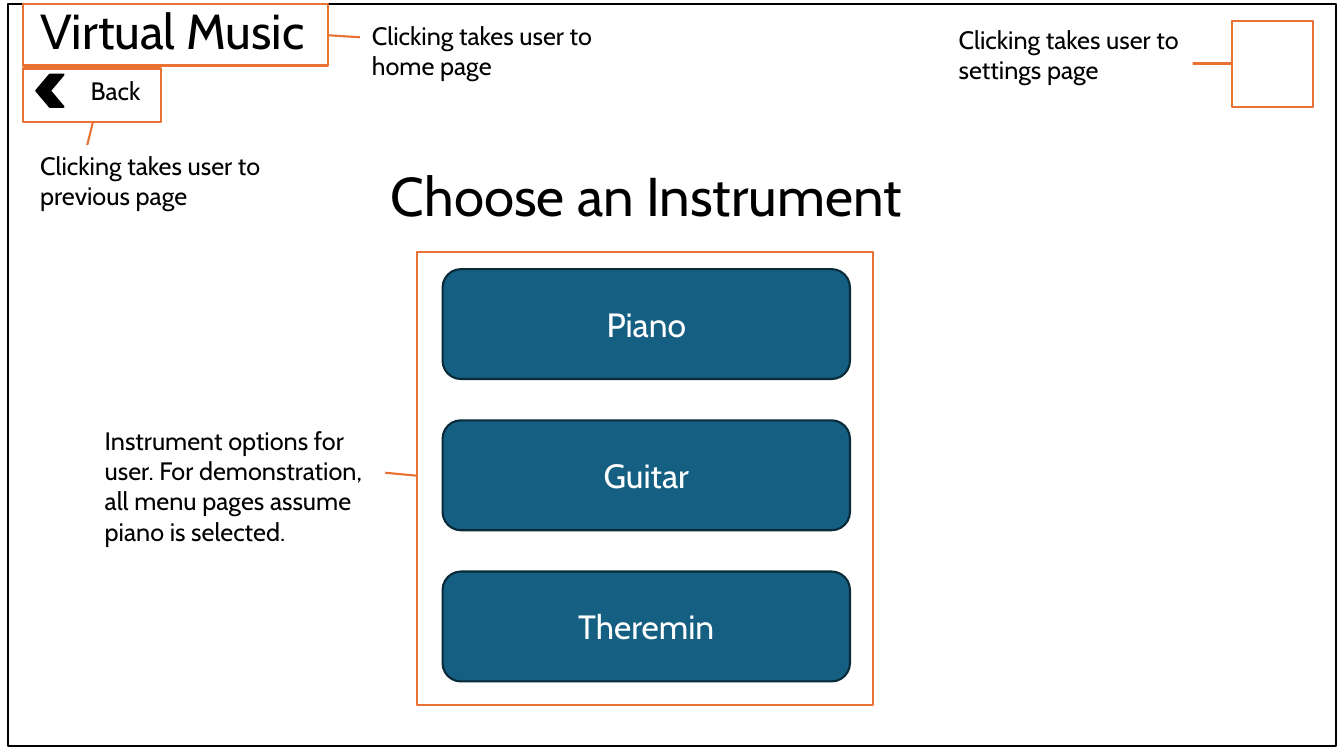
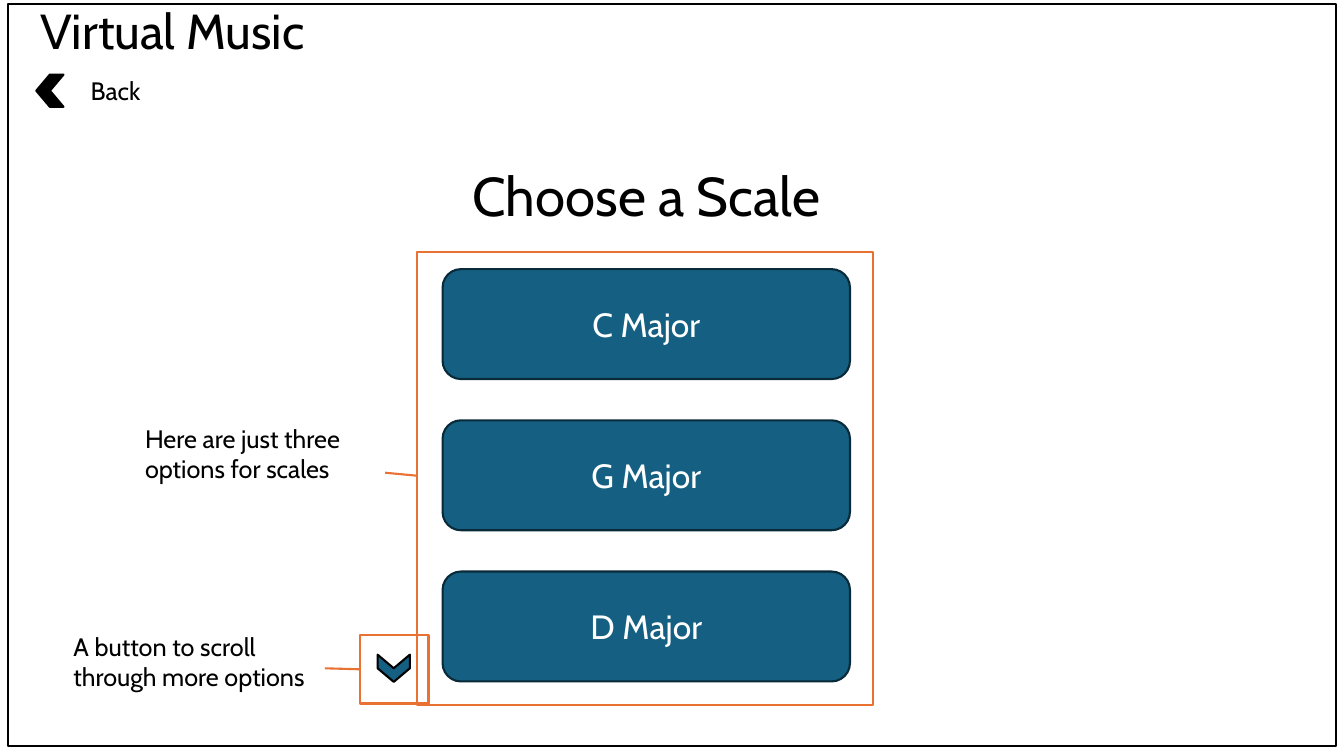
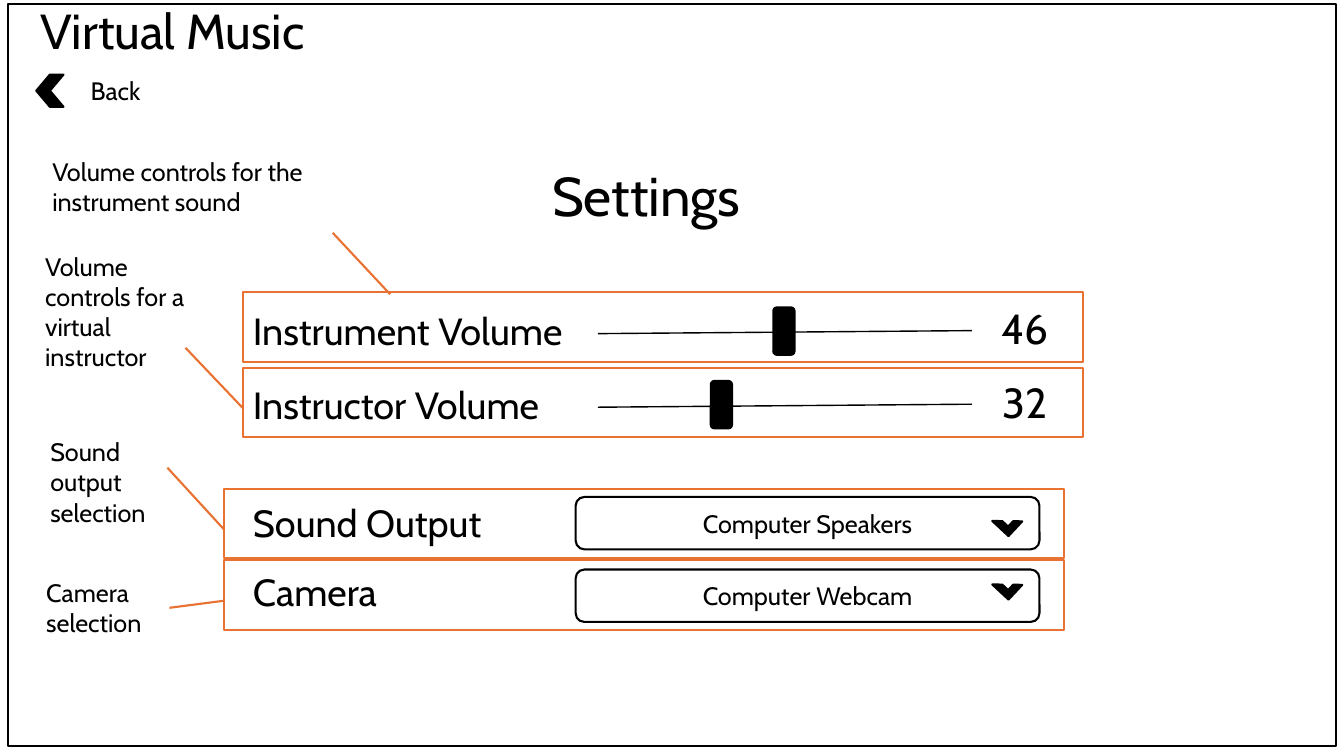
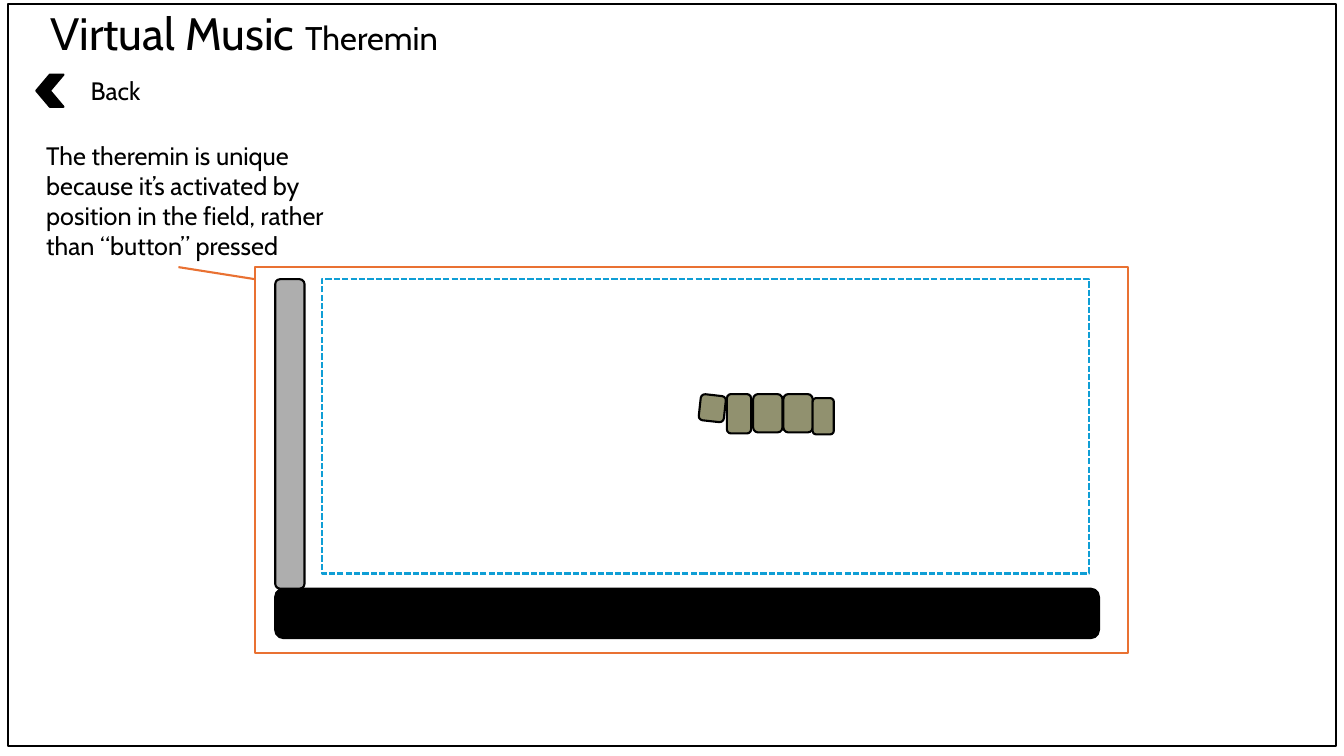
"""Builds four annotated wireframes of a virtual music application."""
from lxml import etree
from pptx import Presentation
from pptx.dml.color import RGBColor
from pptx.enum.dml import MSO_LINE
from pptx.enum.shapes import MSO_CONNECTOR, MSO_SHAPE
from pptx.enum.text import MSO_ANCHOR, MSO_AUTO_SIZE, PP_ALIGN
from pptx.oxml.ns import qn
from pptx.util import Inches, Pt

RECT, ROUND = MSO_SHAPE.RECTANGLE, MSO_SHAPE.ROUNDED_RECTANGLE
CHEVRON, HALF_FRAME = MSO_SHAPE.CHEVRON, MSO_SHAPE.HALF_FRAME
STRAIGHT, DASH = MSO_CONNECTOR.STRAIGHT, MSO_LINE.SQUARE_DOT
LEFT, CENTER = PP_ALIGN.LEFT, PP_ALIGN.CENTER
TOP, MIDDLE, BOTTOM = MSO_ANCHOR.TOP, MSO_ANCHOR.MIDDLE, MSO_ANCHOR.BOTTOM
FIXED, GROW = MSO_AUTO_SIZE.NONE, MSO_AUTO_SIZE.SHAPE_TO_FIT_TEXT

COLORS = {
    "ink": "000000", "paper": "FFFFFF", "button": "156082", "edge": "092A39",
    "mark": "E97132", "antenna": "AEAEAE", "hand": "91916F", "field": "0F9ED5",
}
FONT = "Cabin"
TITLE = {"alignment": CENTER, "line_spacing": 0.9}
LABEL = {"alignment": LEFT, "line_spacing": 0.7}
VALUE = {"alignment": CENTER, "line_spacing": 0.7}
HEADING_AT = (3.57, 1.44, 5.68, 0.87)
BRAND_AT = (0, 0.01, 3.42, 0.64)
BRAND = "Virtual Music"


def rgb(name):
    """Return the named colour."""
    return RGBColor.from_string(COLORS[name])


class Deck:
    """Holds the presentation, its style and the current slide."""

    def __init__(self):
        """Start an empty widescreen presentation."""
        self.prs = Presentation()
        self.prs.slide_width, self.prs.slide_height = Inches(13.33), Inches(7.5)
        self.s = None

    def fill_text(self, sp, text, size, color="ink", anchor=TOP, fit=FIXED, fmt=None):
        """Put one formatted paragraph in a shape."""
        tf = sp.text_frame
        frame = {"word_wrap": True, "vertical_anchor": anchor, "auto_size": fit}
        p = tf.paragraphs[0]
        r = p.add_run()
        r.text = text
        font = {"name": FONT, "size": Pt(size)}
        for obj, values in ((tf, frame), (p, fmt or {}), (r.font, font)):
            for key, value in values.items():
                setattr(obj, key, value)
        r.font.color.rgb = rgb(color)

    def title(self, text, at, size):
        """Fill and place the title placeholder."""
        sp = self.s.shapes.title
        sp.left, sp.top, sp.width, sp.height = map(Inches, at)
        self.fill_text(sp, text, size, anchor=BOTTOM, fmt=TITLE)

    def text(self, text, at, size, **style):
        """Add a text box."""
        sp = self.s.shapes.add_textbox(*map(Inches, at))
        self.fill_text(sp, text, size, **style)
        return sp

    def note(self, text, at):
        """Add an explanatory note on white."""
        sp = self.text(text, at, 18, fit=GROW)
        sp.fill.solid()
        sp.fill.fore_color.rgb = rgb("paper")

    def shape(self, kind, at, fill=None, line="ink", rotation=0):
        """Add an outlined preset shape."""
        sp = self.s.shapes.add_shape(kind, *map(Inches, at))
        sp.shadow.inherit = False
        sp.rotation = rotation
        if fill:
            sp.fill.solid()
            sp.fill.fore_color.rgb = rgb(fill)
        else:
            sp.fill.background()
        sp.line.color.rgb = rgb(line)
        sp.line.width = Pt(1.5)
        return sp

    def mark(self, *at):
        """Outline a highlighted area."""
        self.shape(RECT, at, line="mark")

    def line(self, *ends, color="mark", width=1.5):
        """Add a straight line."""
        cn = self.s.shapes.add_connector(STRAIGHT, *map(Inches, ends))
        cn.line.color.rgb = rgb(color)
        cn.line.width = Pt(width)
        etree.SubElement(cn._element.spPr, qn("a:effectLst"))

    def screen(self, heading=None):
        """Start a slide with the window frame, brand and back button."""
        self.s = self.prs.slides.add_slide(self.prs.slide_layouts[5])
        self.shape(RECT, (0.08, 0.04, 13.17, 7.36))
        if heading:
            self.title(heading, HEADING_AT, 39)
            self.text(BRAND, BRAND_AT, 35.1, anchor=BOTTOM, fmt=TITLE)
        else:
            self.title(BRAND, BRAND_AT, 32.4)
        self.shape(CHEVRON, (0.36, 0.74, 0.27, 0.32), "ink", rotation=180)
        self.text("Back", (0.8, 0.7, 0.81, 0.4), 18, fit=GROW)

    def menu(self, options):
        """Add a marked column of buttons."""
        for i, option in enumerate(options):
            sp = self.shape(ROUND, (4.39, 2.67 + 1.5 * i, 4.04, 1.09), "button", "edge")
            self.fill_text(sp, option, 24, "paper", MIDDLE, fmt={"alignment": CENTER})
        self.line(3.82, 4.69, 4.14, 4.72)
        self.mark(4.14, 2.5, 4.52, 4.49)

    def slider(self, label, value, y, knob_x):
        """Add a volume slider row."""
        self.text(label, (2.41, y + 0.01, 3.37, 0.48), 27, anchor=BOTTOM, fmt=LABEL)
        self.line(5.93, y + 0.26, 9.64, y + 0.23, color="ink", width=1)
        self.shape(ROUND, (knob_x, y, 0.21, 0.47), "ink")
        self.text(value, (9.77, y, 0.79, 0.49), 30, anchor=BOTTOM, fmt=VALUE)

    def dropdown(self, label, choice, label_y, box_y, arrow_y):
        """Add a selection row."""
        self.text(label, (2.41, label_y, 3.37, 0.48), 27, anchor=BOTTOM, fmt=LABEL)
        sp = self.shape(ROUND, (5.71, box_y, 4.6, 0.52), "paper")
        self.fill_text(sp, choice, 18, anchor=MIDDLE, fmt={"alignment": CENTER})
        self.shape(HALF_FRAME, (9.88, arrow_y, 0.22, 0.2), "ink", rotation=223)


def instruments(d):
    """Build the instrument menu."""
    d.screen("Choose an Instrument")
    d.menu(("Piano", "Guitar", "Theremin"))
    d.mark(0.23, 0.04, 3.02, 0.61)
    d.mark(0.23, 0.68, 1.37, 0.53)
    d.mark(12.22, 0.21, 0.8, 0.85)
    d.line(3.26, 0.35, 3.57, 0.37)
    d.line(0.92, 1.22, 0.86, 1.46)
    d.line(11.77, 0.63, 12.22, 0.63)
    d.note("Clicking takes user to home page", (3.59, 0.15, 2.88, 0.71))
    d.note("Clicking takes user to previous page", (0.3, 1.44, 2.88, 0.71))
    d.note("Clicking takes user to settings page", (9.41, 0.19, 2.42, 0.71))
    d.note("Instrument options for user. For demonstration, all menu pages "
           "assume piano is selected.", (0.94, 4.17, 2.88, 1.31))


def scales(d):
    """Build the scale menu."""
    d.screen("Choose a Scale")
    d.menu(("C Major", "G Major", "D Major"))
    d.note("Here are just three options for scales", (1.34, 4.15, 2.36, 0.71))
    d.shape(CHEVRON, (3.77, 6.47, 0.27, 0.32), "button", rotation=90)
    d.mark(3.57, 6.3, 0.68, 0.68)
    d.line(3.22, 6.63, 3.57, 6.64)
    d.note("A button to scroll through more options", (0.63, 6.21, 2.59, 0.71))


def settings(d):
    """Build the settings page."""
    d.screen("Settings")
    d.slider("Instrument Volume", "46", 3.05, 7.67)
    d.slider("Instructor Volume", "32", 3.78, 7.05)
    d.dropdown("Sound Output", "Computer Speakers", 4.96, 4.93, 5.07)
    d.dropdown("Camera", "Computer Webcam", 5.65, 5.65, 5.7)
    rows = (
        ("Volume controls for the instrument sound", (0.42, 1.5, 3.51, 0.71),
         (3.3, 2.31, 3.87, 2.92), (2.41, 2.9)),
        ("Volume controls for a virtual instructor", (0.35, 2.44, 1.9, 1.31),
         (1.84, 3.45, 2.41, 4.05), (2.41, 3.65)),
        ("Sound output selection", (0.4, 4.28, 1.31, 1.01),
         (1.66, 4.64, 2.22, 5.25), (2.22, 4.85)),
        ("Camera selection", (0.36, 5.68, 1.31, 0.71),
         (1.68, 6.03, 2.22, 5.96), (2.22, 5.56)),
    )
    for text, at, ends, corner in rows:
        d.note(text, at)
        d.line(*ends)
        d.mark(*corner, 8.33, 0.69)


def theremin(d):
    """Build the theremin page."""
    d.screen()
    d.text("Theremin", (2.88, 0.01, 1.61, 0.61), 23.4, anchor=BOTTOM, fmt=TITLE)
    d.shape(ROUND, (2.73, 5.84, 8.17, 0.49), "ink")
    d.shape(ROUND, (2.73, 2.77, 0.29, 3.07), "antenna")
    fingers = ((7.21, 3.91, 0.24, 0.39), (7.47, 3.91, 0.29, 0.38),
               (7.77, 3.91, 0.29, 0.38), (8.06, 3.95, 0.21, 0.36))
    for at in fingers:
        d.shape(ROUND, at, "hand")
    d.shape(ROUND, (6.94, 3.92, 0.25, 0.26), "hand", rotation=6.2)
    d.note("The theremin is unique because it’s activated by position in the "
           "field, rather than “button” pressed", (0.36, 1.34, 3.21, 1.31))
    d.line(1.77, 2.65, 2.53, 2.77)
    d.mark(2.53, 2.65, 8.66, 3.83)
    sp = d.shape(RECT, (3.19, 2.77, 7.61, 2.92), line="field")
    sp.line.dash_style = DASH


def main():
    """Build and save all slides."""
    d = Deck()
    for build in (instruments, scales, settings, theremin):
        build(d)
    d.prs.save("out.pptx")


if __name__ == "__main__":
    main()
